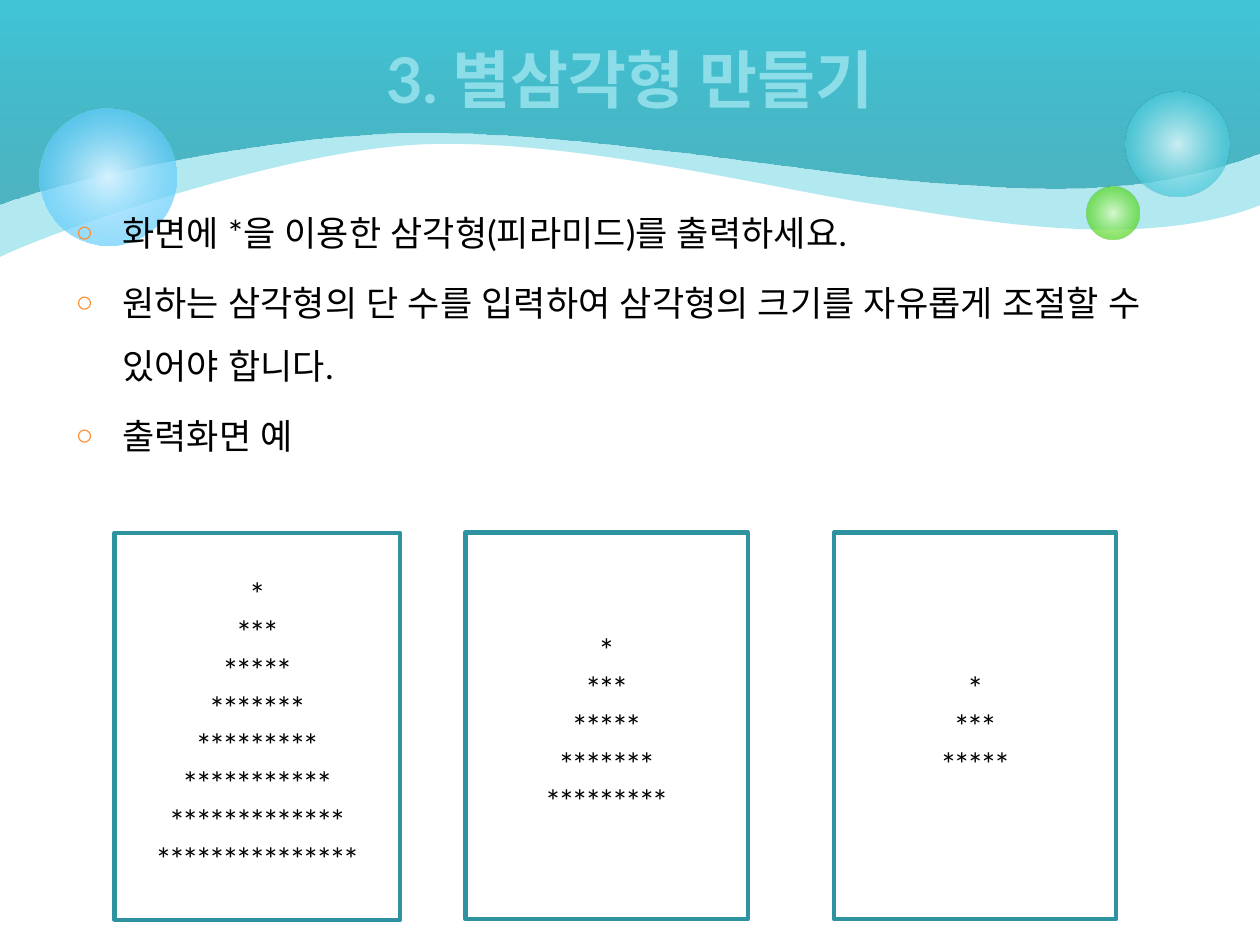
from lxml.etree import SubElement
from pptx import Presentation
from pptx.dml.color import RGBColor
from pptx.enum.lang import MSO_LANGUAGE_ID as Language
from pptx.enum.shapes import MSO_SHAPE as Preset
from pptx.enum.text import MSO_ANCHOR as Anchor, MSO_AUTO_SIZE as AutoSize, PP_ALIGN as Align
from pptx.oxml.ns import qn
from pptx.util import Inches, Pt

# Grid of 100 columns by 75 rows
WIDTH, HEIGHT = Inches(10), Inches(7.5)
COL, ROW = WIDTH / 100, HEIGHT / 75
FONT, BLACK, FRAME, ORANGE = "Lato", "000000", "2F92A0", "FE8C2E"
TITLE_COLOUR = "8CDDE8"
TURQUOISE, TEAL = "40C6D8", "249EAE"

# Each wave: left depth, then curves of two controls and an end
LOWER_WAVE = (20.4, [
    ((3.3, 18.7), (21.4, 12.2), (32.8, 11.5)),
    ((44.3, 10.8), (60.6, 14.8), (68.7, 16.1)),
    ((76.8, 17.3), (90.2, 20.1), (100, 16.3))])
UPPER_WAVE = (16.2, [
    ((4.5, 14.4), (20.3, 10.8), (32.6, 10.5)),
    ((44.9, 10.2), (65.8, 13.9), (73.7, 14.4)),
    ((81.6, 14.9), (90.2, 15.9), (100, 12.1))])

# Each bubble: box and gradient stops (position, colour, opacity)
BUBBLES = [
    ((89.3, 7.3, 8.3, 8.3), [(0, "D9F4F7", 90), (76, TURQUOISE, 70)]),
    ((86.2, 14.8, 4.2, 4.2), [(0, "DAFACD", 90), (76, "4CD416", 70)]),
    ((3.1, 8.6, 10.9, 10.9), [(0, "D6F2FE", 100), (100, "33BDFB", 54)])]

TASKS = [
    "화면에 *을 이용한 삼각형(피라미드)를 출력하세요.",
    "원하는 삼각형의 단 수를 입력하여 삼각형의 크기를 자유롭게 조절할 수 있어야 합니다.",
    "출력화면 예"]

# Each example: box and number of star rows
EXAMPLES = [((9.1, 42.3, 22.65, 30.7), 8),
            ((36.95, 42.25, 22.4, 30.7), 5),
            ((66.2, 42.25, 22.4, 30.7), 3)]


def rgb(code):
    return RGBColor.from_string(code)


def emu(box):
    return [round(length * unit) for length, unit in zip(box, (COL, ROW) * 2)]


def style(target, values):
    for name, value in values.items():
        setattr(target, name, value)


def write(paragraph, text, size, colour, **extra):
    run = paragraph.add_run()
    run.text = text
    style(run.font, {"name": FONT, "size": Pt(size),
                     "language_id": Language.KOREAN, **extra})
    run.font.color.rgb = rgb(colour)
    SubElement(run.font._element, qn("a:ea"), typeface=FONT)


def add_colour(parent, colour, opacity):
    node = SubElement(parent, qn("a:srgbClr"), val=colour)
    if opacity < 100:
        SubElement(node, qn("a:alpha"), val=str(opacity * 1000))


def fill_gradient(shape, stops, angle=None):
    """Linear at the given angle, or radial from the centre without one."""
    shape.fill.gradient()
    gradient = shape._element.spPr.find(qn("a:gradFill"))
    for child in list(gradient):
        gradient.remove(child)
    stop_list = SubElement(gradient, qn("a:gsLst"))
    for position, colour, opacity in stops:
        stop = SubElement(stop_list, qn("a:gs"), pos=str(position * 1000))
        add_colour(stop, colour, opacity)
    if angle is None:
        radial = SubElement(gradient, qn("a:path"), path="circle")
        SubElement(radial, qn("a:fillToRect"),
                   dict.fromkeys("ltrb", "50000"))
    else:
        SubElement(gradient, qn("a:lin"), ang=str(angle * 60000), scaled="0")


def add_wave(slide, wave):
    """Draw straight edges first, then bend those along the bottom."""
    left_depth, curves = wave
    corners = [(0, left_depth), *(curve[-1] for curve in curves), (100, 0)]
    builder = slide.shapes.build_freeform(0, 0, scale=1.0)
    builder.add_line_segments([emu(corner) for corner in corners], close=True)
    shape = builder.convert_to_shape()
    shape.shadow.inherit = False
    shape.line.fill.background()
    edges = list(shape._element.iter(qn("a:lnTo")))[1:]
    for edge, curve in zip(edges, curves):
        bend = edge.makeelement(qn("a:cubicBezTo"))
        for point in curve:
            x, y = emu(point)
            SubElement(bend, qn("a:pt"), x=str(x), y=str(y))
        edge.getparent().replace(edge, bend)
    return shape


def add_backdrop(slide):
    lower = add_wave(slide, LOWER_WAVE)
    lower.fill.solid()
    lower.fill.fore_color.rgb = rgb(TURQUOISE)
    tint = lower._element.spPr.find(qn("a:solidFill"))[0]
    SubElement(tint, qn("a:alpha"), val="40000")
    fill_gradient(add_wave(slide, UPPER_WAVE),
                  [(0, TEAL, 69), (100, TURQUOISE, 100)], angle=270)
    for box, stops in BUBBLES:
        bubble = slide.shapes.add_shape(Preset.OVAL, *emu(box))
        bubble.shadow.inherit = False
        bubble.line.fill.background()
        fill_gradient(bubble, stops)


def place(holder, box, anchor):
    """Move a placeholder to its box, in front of what is drawn so far."""
    style(holder, dict(zip(("left", "top", "width", "height"), emu(box))))
    style(holder.text_frame, {"word_wrap": True, "auto_size": AutoSize.NONE,
                              "vertical_anchor": anchor})
    holder._element.getparent().append(holder._element)


def fill_title(holder, box):
    place(holder, box, Anchor.MIDDLE)
    heading = holder.text_frame.paragraphs[0]
    heading.alignment = Align.CENTER
    write(heading, "3. 별삼각형 만들기", 36, TITLE_COLOUR, bold=True)


def fill_tasks(holder, box):
    place(holder, box, Anchor.TOP)
    frame = holder.text_frame
    for index, task in enumerate(TASKS):
        item = frame.add_paragraph() if index else frame.paragraphs[0]
        style(item, {"line_spacing": 1.5, "space_before": Pt(4 if index else 0)})
        properties = item._p.get_or_add_pPr()
        properties.set("marL", str(Inches(0.37)))
        properties.set("indent", str(-Inches(0.37)))
        add_colour(SubElement(properties, qn("a:buClr")), ORANGE, 100)
        SubElement(properties, qn("a:buSzPct"), val="85000")
        SubElement(properties, qn("a:buChar"), char="○")
        write(item, task, 20, BLACK)


def add_example(slide, box, rows):
    panel = slide.shapes.add_shape(Preset.RECTANGLE, *emu(box))
    panel.shadow.inherit = False
    panel.fill.background()
    panel.line.color.rgb = rgb(FRAME)
    panel.line.width = Pt(2.5)
    frame = panel.text_frame
    style(frame, {"word_wrap": True, "vertical_anchor": Anchor.MIDDLE})
    for row in range(rows):
        line = frame.add_paragraph() if row else frame.paragraphs[0]
        line.alignment = Align.CENTER
        write(line, "*" * (2 * row + 1), 18, BLACK)


def main():
    deck = Presentation()
    style(deck, {"slide_width": WIDTH, "slide_height": HEIGHT})
    slide = deck.slides.add_slide(deck.slide_layouts[1])
    title, tasks = slide.placeholders
    add_backdrop(slide)
    fill_tasks(tasks, (5, 14.6, 90, 23.6))
    fill_title(title, (5, 0, 90, 12.5))
    for box, rows in EXAMPLES:
        add_example(slide, box, rows)
    deck.save("out.pptx")


if __name__ == "__main__":
    main()
